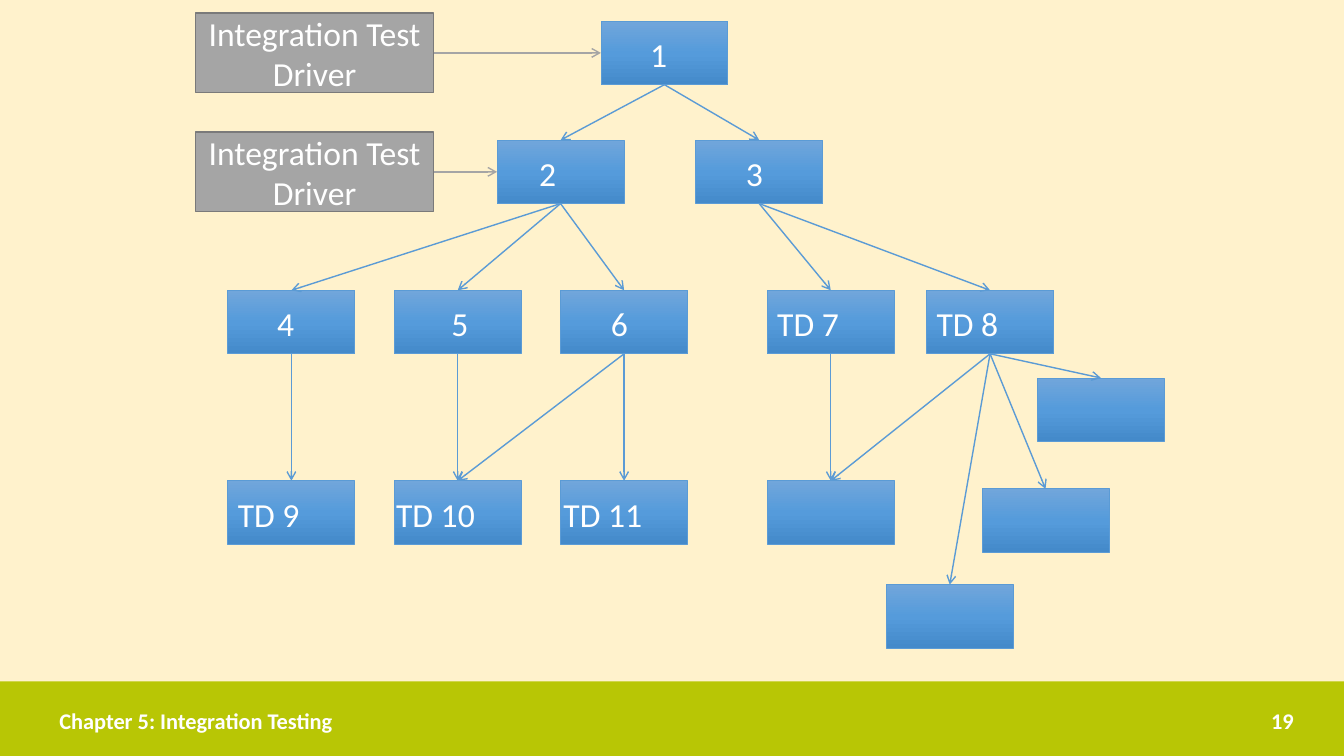
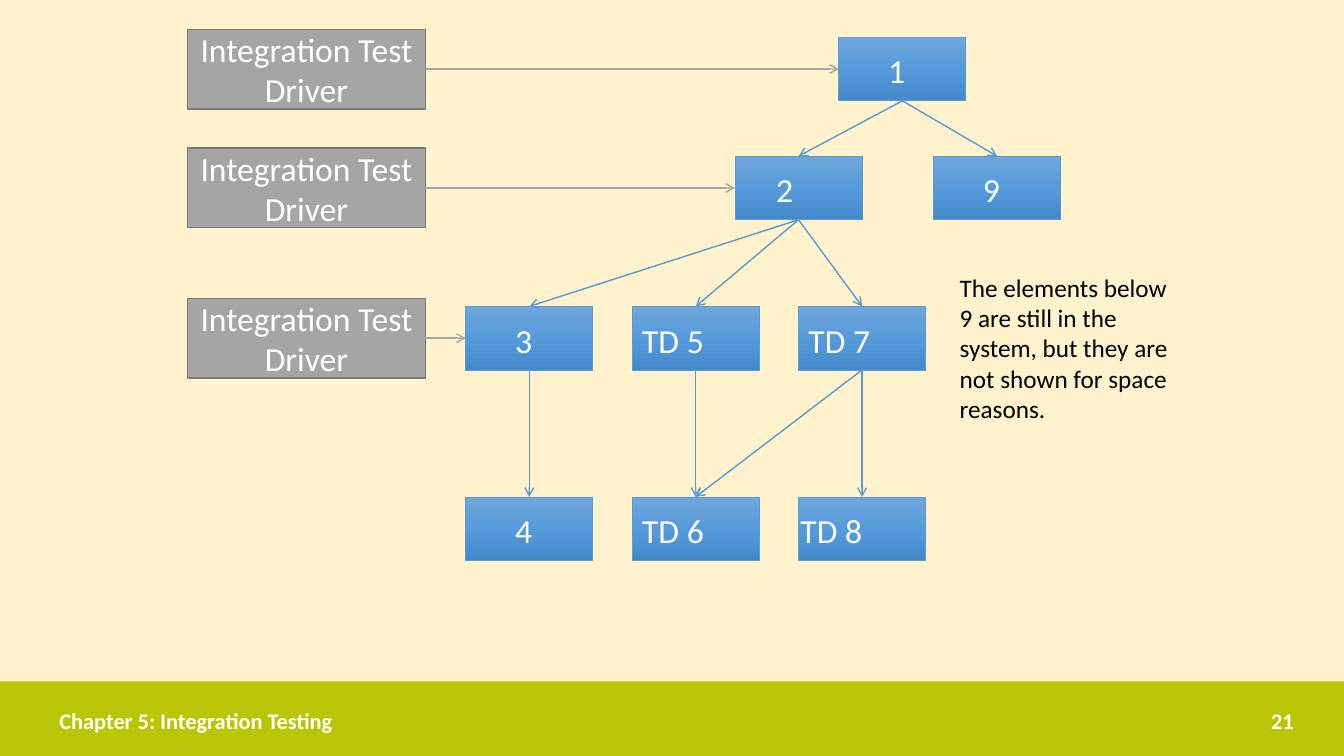
import copy
from dataclasses import dataclass, field
from typing import NamedTuple

import pptx
import pptx.dml.color
import pptx.enum.shapes
import pptx.enum.text
import pptx.oxml.ns
import pptx.util

Inches = pptx.util.Inches
Pt = pptx.util.Pt
qn = pptx.oxml.ns.qn
ALIGN = pptx.enum.text.PP_ALIGN
MIDDLE = pptx.enum.text.MSO_ANCHOR.MIDDLE
RECT = pptx.enum.shapes.MSO_SHAPE.RECTANGLE
STRAIGHT = pptx.enum.shapes.MSO_CONNECTOR.STRAIGHT

FONT = "Calibri"
COLORS = {
    "background": "FFF2CC", "band": "B8C605", "white": "FFFFFF", "black": "000000",
    "blue": "5B9BD5", "blue_top": "71A6DB", "blue_mid": "559BDB", "blue_low": "448ACA",
    "gray": "A5A5A5", "gray_edge": "7A7A7A",
}
GRADIENT = [(0, "blue_top"), (0.5, "blue_mid"), (1, "blue_low")]

# Sizes, in inches
BOX_W, BOX_H = 1.26, 0.63
DRIVER_W, DRIVER_H = 2.36, 0.79
LABEL_DROP = 0.08
LABEL_WIDTHS = {1: 0.37, 4: 0.82, 5: 0.99}  # by number of characters
TOP, RIGHT, BOTTOM, LEFT = 0, 3, 2, 1  # connection sites of a rectangle


class Spot(NamedTuple):
    x: float
    y: float


class Label(NamedTuple):
    text: str
    indent: float = 0


class Edge(NamedTuple):
    parent: str
    child: str


@dataclass
class TreeSlide:
    number: str
    shift: Spot
    driver_x: float
    driven: list[str]
    labels: dict[str, Label]
    extra_spots: dict[str, Spot] = field(default_factory=dict)
    extra_edges: list[Edge] = field(default_factory=list)
    note: str = ""


# Tree shared by both slides
ROWS = [0.21, 1.39, 2.88, 4.77]
COLUMNS = {"a": 2.26, "b": 3.91, "c": 5.56}
CORE_SPOTS = {
    "root": Spot(5.96, ROWS[0]),
    "left": Spot(4.93, ROWS[1]),
    "right": Spot(6.9, ROWS[1]),
    **{f"mid_{k}": Spot(x, ROWS[2]) for k, x in COLUMNS.items()},
    **{f"low_{k}": Spot(x, ROWS[3]) for k, x in COLUMNS.items()},
}
CORE_EDGES = [
    Edge("root", "right"), Edge("root", "left"),
    *(Edge("left", f"mid_{k}") for k in COLUMNS),
    *(Edge(f"mid_{k}", f"low_{k}") for k in COLUMNS),
    Edge("mid_c", "low_b"),
]

SLIDES = [
    TreeSlide(
        number="19", shift=Spot(0, 0), driver_x=1.94, driven=["root", "left"],
        labels={
            "root": Label("1", 0.39), "left": Label("2", 0.32), "right": Label("3", 0.4),
            "mid_a": Label("4", 0.39), "mid_b": Label("5", 0.47), "mid_c": Label("6", 0.4),
            "seven": Label("TD 7"), "eight": Label("TD 8"),
            "low_a": Label("TD 9"), "low_b": Label("TD 10", -0.08),
            "low_c": Label("TD 11", -0.07),
        },
        extra_spots={
            "seven": Spot(7.61, ROWS[2]), "eight": Spot(9.19, ROWS[2]),
            "leaf_1": Spot(10.29, 3.75), "leaf_2": Spot(9.74, 4.85),
            "leaf_3": Spot(8.79, 5.8), "leaf_4": Spot(7.61, ROWS[3]),
        },
        extra_edges=[
            Edge("right", "seven"), Edge("right", "eight"),
            *(Edge("eight", f"leaf_{i}") for i in range(1, 5)),
            Edge("seven", "leaf_4"),
        ],
    ),
    TreeSlide(
        number="21", shift=Spot(2.36, 0.16), driver_x=1.86,
        driven=["root", "left", "mid_a"],
        labels={
            "root": Label("1", 0.39), "left": Label("2", 0.31), "right": Label("9", 0.39),
            "mid_a": Label("3", 0.39), "mid_b": Label("TD 5"), "mid_c": Label("TD 7"),
            "low_a": Label("4", 0.39), "low_b": Label("TD 6"),
            "low_c": Label("TD 8", -0.08),
        },
        note="The elements below 9 are still in the system, "
             "but they are not shown for space reasons.",
    ),
]


def rgb(name: str) -> pptx.dml.color.RGBColor:
    return pptx.dml.color.RGBColor.from_string(COLORS[name])


def write(tf, text: str, size: int, color: str = "white", bold: bool = False,
          align=ALIGN.LEFT) -> None:
    p = tf.paragraphs[0]
    p.alignment = align
    r = p.add_run()
    r.text = text
    r.font.name, r.font.size, r.font.bold = FONT, Pt(size), bold
    r.font.color.rgb = rgb(color)


def add_text(s, x: float, y: float, w: float, h: float, wrap: bool = True):
    tf = s.shapes.add_textbox(Inches(x), Inches(y), Inches(w), Inches(h)).text_frame
    tf.word_wrap = wrap
    return tf


def add_rect(s, x: float, y: float, w: float, h: float, fill: str = "",
             line: str = "", weight: float = 1):
    sp = s.shapes.add_shape(RECT, Inches(x), Inches(y), Inches(w), Inches(h))
    sp.shadow.inherit = False
    if fill:
        sp.fill.solid()
        sp.fill.fore_color.rgb = rgb(fill)
    if line:
        sp.line.color.rgb = rgb(line)
        sp.line.width = Pt(weight)
    else:
        sp.line.fill.background()
    return sp


def add_box(s, x: float, y: float):
    sp = add_rect(s, x, y, BOX_W, BOX_H, line="blue", weight=0.5)
    sp.fill.gradient()
    sp.fill.gradient_angle = 270
    stops = sp._element.spPr.find(qn("a:gradFill")).find(qn("a:gsLst"))
    stops.insert(1, copy.deepcopy(stops[0]))
    for stop, (position, color) in zip(sp.fill.gradient_stops, GRADIENT):
        stop.position = position
        stop.color.rgb = rgb(color)
    return sp


def add_arrow(s, start, start_site: int, end, end_site: int, color: str) -> None:
    c = s.shapes.add_connector(STRAIGHT, 0, 0, 0, 0)
    c.begin_connect(start, start_site)
    c.end_connect(end, end_site)
    c.line.color.rgb = rgb(color)
    c.line.width = Pt(1)
    ln = c.line._get_or_add_ln()
    ln.append(ln.makeelement(qn("a:tailEnd"), {"type": "arrow"}))
    sp_pr = c._element.spPr
    sp_pr.append(sp_pr.makeelement(qn("a:effectLst"), {}))


def add_label(s, label: Label, box: Spot) -> None:
    tf = add_text(s, box.x + label.indent, box.y + LABEL_DROP,
                  LABEL_WIDTHS[len(label.text)], 0.5, wrap=False)
    tf.auto_size = pptx.enum.text.MSO_AUTO_SIZE.SHAPE_TO_FIT_TEXT
    write(tf, label.text, 24)


def add_driver(s, x: float, box: Spot, target) -> None:
    sp = add_rect(s, x, box.y + (BOX_H - DRIVER_H) / 2, DRIVER_W, DRIVER_H,
                  "gray", "gray_edge")
    tf = sp.text_frame
    tf.word_wrap = True
    tf.vertical_anchor = MIDDLE
    write(tf, "Integration Test Driver", 24, align=ALIGN.CENTER)
    add_arrow(s, sp, RIGHT, target, LEFT, "gray")


def add_frame(s, number: str) -> None:
    s.background.fill.solid()
    s.background.fill.fore_color.rgb = rgb("background")
    add_rect(s, 0, 6.76, 13.33, 0.74, "band")
    for x, w, text, align in [(0.49, 6.19, "Chapter 5: Integration Testing", ALIGN.LEFT),
                              (9.42, 3.51, number, ALIGN.RIGHT)]:
        tf = add_text(s, x, 6.95, w, 0.4)
        tf.vertical_anchor = MIDDLE
        write(tf, text, 16, bold=True, align=align)


def add_tree_slide(prs, tree: TreeSlide) -> None:
    s = prs.slides.add_slide(prs.slide_layouts[6])
    add_frame(s, tree.number)

    # Boxes and the arrows between them
    spots = {name: Spot(spot.x + tree.shift.x, spot.y + tree.shift.y)
             for name, spot in (CORE_SPOTS | tree.extra_spots).items()}
    boxes = {name: add_box(s, *spot) for name, spot in spots.items()}
    for edge in CORE_EDGES + tree.extra_edges:
        add_arrow(s, boxes[edge.parent], BOTTOM, boxes[edge.child], TOP, "blue")

    # Labels, drivers and note
    for name, label in tree.labels.items():
        add_label(s, label, spots[name])
    for name in tree.driven:
        add_driver(s, tree.driver_x, spots[name], boxes[name])
    if tree.note:
        write(add_text(s, 9.42, 2.65, 2.28, 1.62), tree.note, 18, "black")


prs = pptx.Presentation()
prs.slide_width, prs.slide_height = Inches(13.33), Inches(7.5)
for tree in SLIDES:
    add_tree_slide(prs, tree)
prs.save("out.pptx")
